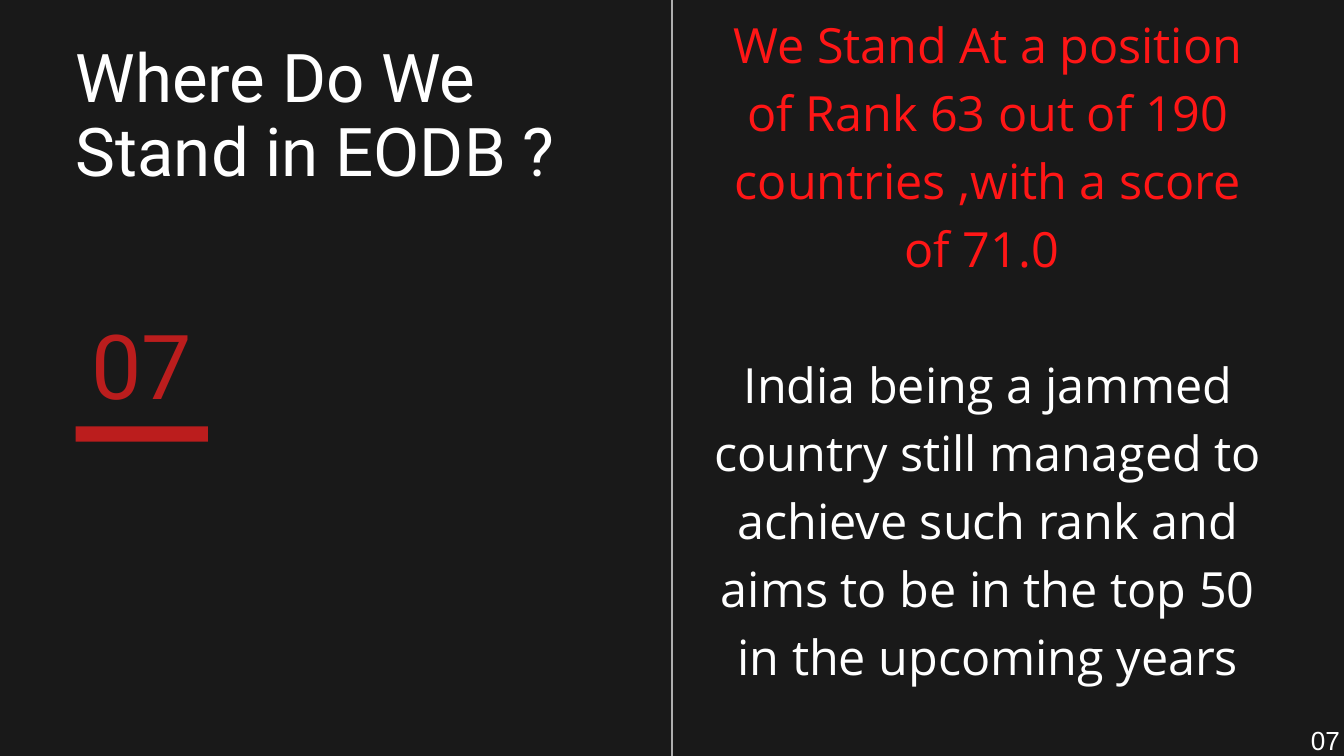
"""Builds the slide on where India stands in the EODB ranking."""
from dataclasses import dataclass

from lxml import etree
from pptx import Presentation
from pptx import util as u
from pptx.dml.color import RGBColor
from pptx.enum import shapes, text
from pptx.oxml.ns import qn

PX = 9525


@dataclass(frozen=True)
class Theme:
    """Colours, fonts and type sizes."""
    background: str = "191919"
    white: str = "FFFFFF"
    accent: str = "BB1D1D"
    highlight: str = "FF1616"
    heading_font: str = "Roboto"
    body_font: str = "Open Sans"
    page_font: str = "Arial"
    number_size: int = 96
    title_size: int = 72
    body_size: int = 52
    page_size: int = 28


THEME = Theme()


def px(*lengths):
    """Turn px lengths into EMU."""
    return [u.Emu(length * PX) for length in lengths]


def place(shape, box):
    """Move and size a shape to a px box."""
    shape.left, shape.top, shape.width, shape.height = px(*box)


def prepare_frame(frame):
    """Make a text frame wrap from its top left corner without margins."""
    frame.word_wrap = True
    frame.auto_size = text.MSO_AUTO_SIZE.NONE
    frame.vertical_anchor = text.MSO_ANCHOR.TOP
    frame.margin_left = frame.margin_top = frame.margin_right = frame.margin_bottom = 0


def write(paragraph, words, *, size, font, color, leading,
          align=text.PP_ALIGN.LEFT, before=0):
    """Write one formatted paragraph."""
    paragraph.alignment = align
    paragraph.line_spacing = u.Pt(leading)
    paragraph.space_before = u.Pt(before)
    paragraph.space_after = u.Pt(0)
    run = paragraph.add_run()
    run.text = words
    run.font.size = u.Pt(size)
    run.font.name = font
    run.font.color.rgb = RGBColor.from_string(color)


def remove_bullet(paragraph):
    """Clear the bullet and hanging indent of a list paragraph."""
    properties = paragraph._p.get_or_add_pPr()
    properties.set("marL", "0")
    properties.set("indent", "0")
    etree.SubElement(properties, qn("a:buNone"))


def add_bar(parent, box, color):
    """Add a plain filled rectangle."""
    bar = parent.add_shape(shapes.MSO_SHAPE.RECTANGLE, *px(*box))
    bar.shadow.inherit = False
    bar.fill.solid()
    bar.fill.fore_color.rgb = RGBColor.from_string(color)
    bar.line.fill.background()


def add_label(parent, box, words, **style):
    """Add a text box with one paragraph."""
    label = parent.add_textbox(*px(*box))
    prepare_frame(label.text_frame)
    write(label.text_frame.paragraphs[0], words, **style)


def add_section_number(slide):
    """Add the underlined section number as a group."""
    section = slide.shapes.add_group_shape().shapes
    add_bar(section, (108, 609, 189, 22), THEME.accent)
    add_label(section, (108, 456, 189, 147), "07", size=THEME.number_size,
              font=THEME.heading_font, color=THEME.accent, leading=105.6,
              align=text.PP_ALIGN.CENTER)


def fill_title(title):
    """Place and write the slide title."""
    place(title, (108, 60, 753, 214))
    prepare_frame(title.text_frame)
    write(title.text_frame.paragraphs[0], "Where Do We Stand in EODB ?",
          size=THEME.title_size, font=THEME.heading_font, color=THEME.white,
          leading=79.2)


def fill_body(body):
    """Place and write the ranking and the outlook."""
    place(body, (1011, 8, 801, 964))
    frame = body.text_frame
    prepare_frame(frame)
    leading = 72.8
    statements = [
        ("We Stand At a position of Rank 63 out of 190 countries ,"
         "with a score of 71.0 ", THEME.highlight, 0),
        ("India being a jammed country still managed to achieve such rank "
         "and aims to be in the top 50 in the upcoming years", THEME.white, leading),
    ]
    frame.add_paragraph()
    for paragraph, (words, color, before) in zip(frame.paragraphs, statements):
        write(paragraph, words, size=THEME.body_size, font=THEME.body_font,
              color=color, leading=leading, align=text.PP_ALIGN.CENTER, before=before)
        remove_bullet(paragraph)


def main():
    """Build and save the slide."""
    deck = Presentation()
    deck.slide_width, deck.slide_height = px(1920, 1080)
    slide = deck.slides.add_slide(deck.slide_layouts[1])
    slide.background.fill.solid()
    slide.background.fill.fore_color.rgb = RGBColor.from_string(THEME.background)

    add_section_number(slide)
    add_bar(slide.shapes, (959, -28, 2, 1136), THEME.white)
    fill_title(slide.shapes.title)
    add_label(slide.shapes, (1762, 1039, 152, 41), "07", size=THEME.page_size,
              font=THEME.page_font, color=THEME.white, leading=30.8,
              align=text.PP_ALIGN.RIGHT)
    fill_body(slide.placeholders[1])
    deck.save("out.pptx")


if __name__ == "__main__":
    main()
